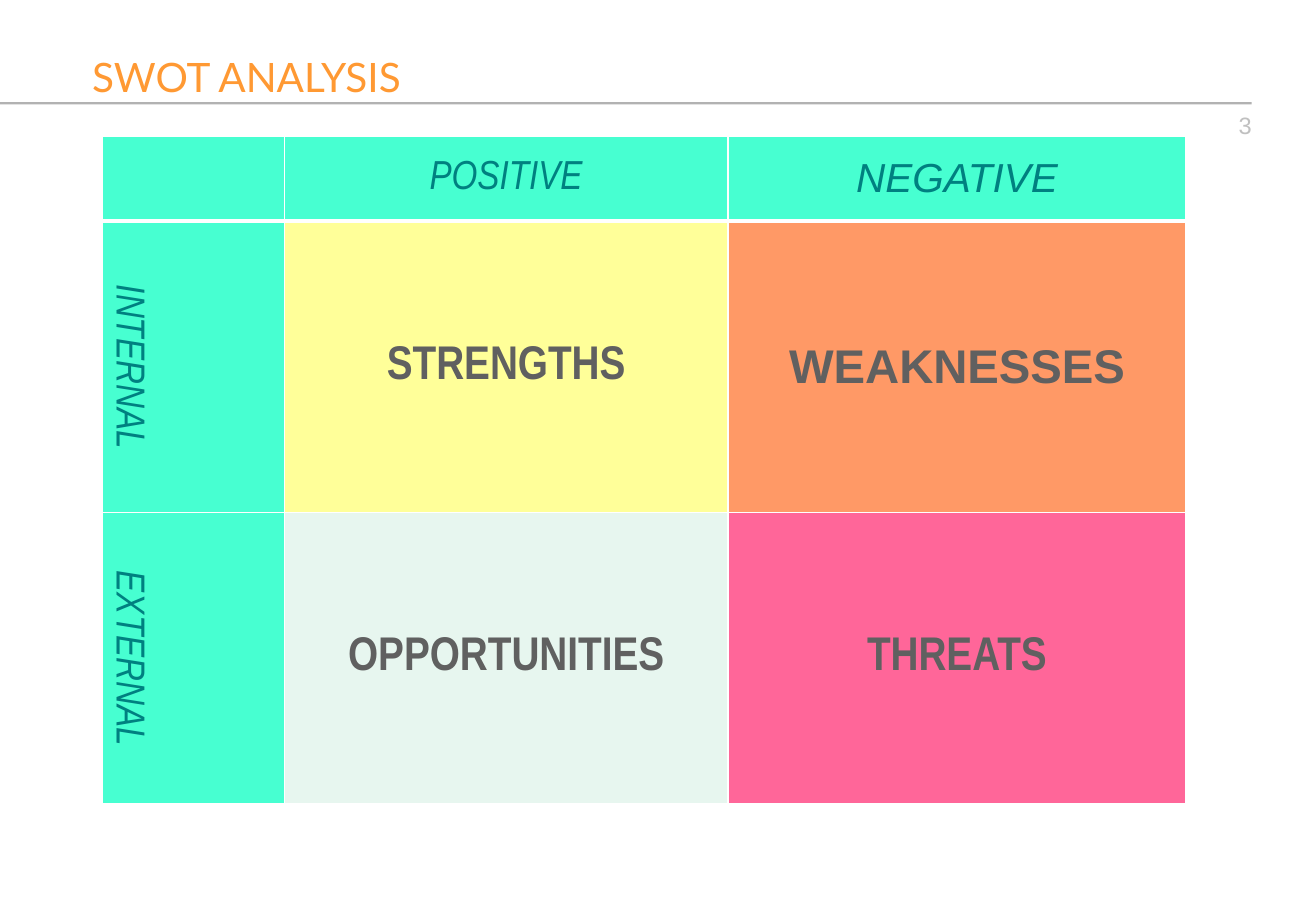
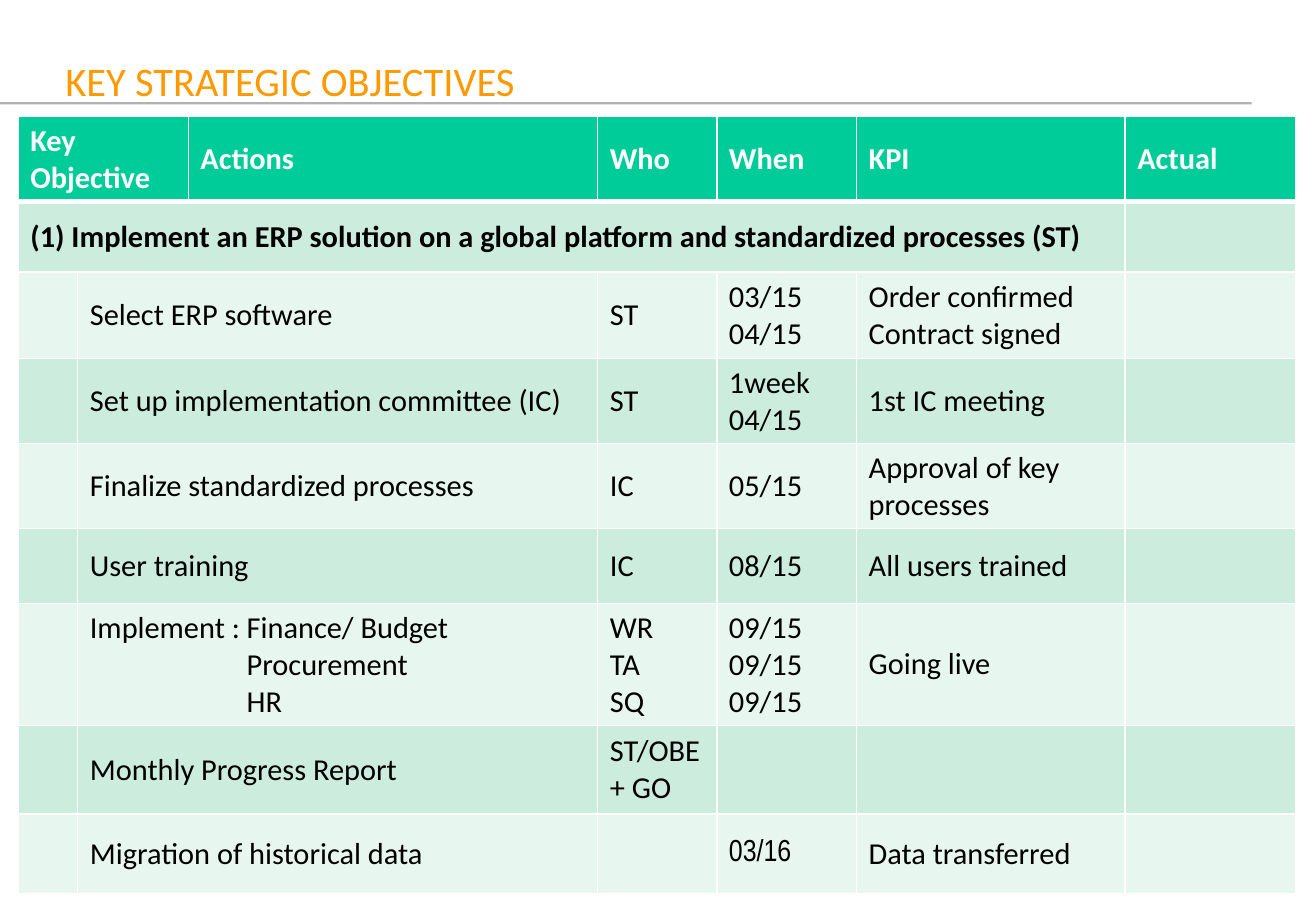
from lxml.etree import SubElement
from pptx import Presentation
from pptx.dml.color import RGBColor
from pptx.enum.shapes import MSO_SHAPE
from pptx.enum.text import MSO_ANCHOR, PP_ALIGN
from pptx.oxml.ns import qn
from pptx.util import Inches, Pt

# Colours
WHITE = RGBColor(0xFF, 0xFF, 0xFF)
BLACK = RGBColor(0x00, 0x00, 0x00)
RULE = RGBColor(0xB2, 0xB2, 0xB2)
SILVER = RGBColor(0xC0, 0xC0, 0xC0)
ORANGE = RGBColor(0xFF, 0x99, 0x33)
AMBER = RGBColor(0xFF, 0x99, 0x00)
AQUA = RGBColor(0x47, 0xFF, 0xD1)
TEAL = RGBColor(0x00, 0x80, 0x80)
GREY = RGBColor(0x60, 0x60, 0x60)
YELLOW = RGBColor(0xFF, 0xFF, 0x99)
CORAL = RGBColor(0xFF, 0x99, 0x66)
PINK = RGBColor(0xFF, 0x66, 0x99)
GREEN = RGBColor(0x00, 0xCC, 0x99)
MINT = RGBColor(0xCC, 0xEC, 0xDE)
PALE = RGBColor(0xE7, 0xF6, 0xEF)

# Fonts
SANS, NARROW, BODY, HEAD = "Arial", "Arial Narrow", "Calibri", "Lato"


def write(frame, lines, font, size, color, bold=False, italic=False,
          align=PP_ALIGN.LEFT):
    """Fill a text frame, one paragraph a line."""
    for i, line in enumerate(lines):
        para = frame.paragraphs[0] if i == 0 else frame.add_paragraph()
        para.alignment = align
        run = para.add_run()
        run.text = line
        run.font.name = font
        run.font.size = Pt(size)
        run.font.color.rgb = color
        run.font.bold = bold
        run.font.italic = italic


def add_text(slide, box, line, font, size, color, align=PP_ALIGN.LEFT,
             anchor=MSO_ANCHOR.TOP):
    frame = slide.shapes.add_textbox(*map(Inches, box)).text_frame
    frame.word_wrap = True
    frame.vertical_anchor = anchor
    write(frame, [line], font, size, color, align=align)


def add_page(deck):
    """Blank slide with the rule under the title."""
    slide = deck.slides.add_slide(deck.slide_layouts[6])
    rule = slide.shapes.add_shape(
        MSO_SHAPE.RECTANGLE, *map(Inches, (0, 0.84, 10.3, 0.02)))
    rule.shadow.inherit = False
    rule.fill.solid()
    rule.fill.fore_color.rgb = RULE
    rule.line.fill.background()
    return slide


def add_grid(slide, left, top, cols, rows):
    """Plain table with the given column widths and row heights."""
    table = slide.shapes.add_table(
        len(rows), len(cols), Inches(left), Inches(top),
        Inches(sum(cols)), Inches(sum(rows))).table
    table.first_row = table.horz_banding = False
    for col, width in zip(table.columns, cols):
        col.width = Inches(width)
    for row, height in zip(table.rows, rows):
        row.height = Inches(height)
    return table


def paint(table, r, c, color):
    """Give a cell its fill and white borders, thick under the header."""
    cell = table.cell(r, c)
    props = cell._tc.get_or_add_tcPr()
    for side in ("L", "R", "T", "B"):
        thick = (r, side) in ((0, "B"), (1, "T"))
        line = SubElement(props, qn("a:ln" + side), w=str(Pt(3 if thick else 1)))
        SubElement(SubElement(line, qn("a:solidFill")), qn("a:srgbClr"),
                   val=str(WHITE))
    cell.fill.solid()
    cell.fill.fore_color.rgb = color
    cell.vertical_anchor = MSO_ANCHOR.MIDDLE
    return cell


# SWOT slide: each cell is text, font, fill
SWOT = [
    [("", NARROW, AQUA), ("POSITIVE", NARROW, AQUA), ("NEGATIVE", SANS, AQUA)],
    [("INTERNAL", NARROW, AQUA), ("STRENGTHS", NARROW, YELLOW),
     ("WEAKNESSES", SANS, CORAL)],
    [("EXTERNAL", NARROW, AQUA), ("OPPORTUNITIES", NARROW, PALE),
     ("THREATS", NARROW, PINK)],
]


def add_swot(slide, left, top):
    table = add_grid(slide, left, top, (1.5, 3.65, 3.77), (0.7, 2.4, 2.4))
    for r, row in enumerate(SWOT):
        for c, (word, font, fill) in enumerate(row):
            cell = paint(table, r, c, fill)
            if not word:
                continue
            label = r == 0 or c == 0
            write(cell.text_frame, [word], font, 24 if label else 28,
                  TEAL if label else GREY, not label, label, PP_ALIGN.CENTER)
            if c == 0:
                cell._tc.get_or_add_tcPr().set("vert", "vert")
            if word == "WEAKNESSES":
                cell.text_frame.paragraphs[0].space_before = Pt(12)


# Goals slide: action, who, when, KPI
HEADS = ("Key Objective", None, "Actions", "Who", "When", "KPI", "Actual")
GOAL = ("(1) Implement an ERP solution on a global platform "
        "and standardized processes (ST)")
TASKS = [
    ("Select ERP software", "ST", "03/15\n04/15",
     "Order confirmed\nContract signed"),
    ("Set up implementation committee (IC)", "ST", "1week 04/15",
     "1st IC meeting"),
    ("Finalize standardized processes", "IC", "05/15",
     "Approval of key processes"),
    ("User training", "IC", "08/15", "All users trained"),
    ("Implement : Finance/ Budget\nProcurement\nHR", "WR\nTA\nSQ",
     "09/15\n09/15\n09/15", "Going live"),
    ("Monthly Progress Report", "ST/OBE + GO", "", ""),
    ("Migration of historical data", "", "03/16", "Data transferred"),
]


def add_goals(slide, left, top):
    table = add_grid(slide, left, top,
                     (0.49, 0.91, 3.37, 0.98, 1.15, 2.21, 1.4),
                     (0.7, 0.58, 0.71, 0.7, 0.7, 0.62, 1, 0.73, 0.66))
    rows = [HEADS, (GOAL,) + (None,) * 5 + ("",)]
    rows += [("", act, None, who, when, kpi, "")
             for act, who, when, kpi in TASKS]
    for r, row in enumerate(rows):
        fill = GREEN if r == 0 else (PALE, MINT)[r % 2]
        for c, words in enumerate(row):
            cell = paint(table, r, c, fill)
            # None joins a cell to the one on its left
            span = 1
            while c + span < len(row) and row[c + span] is None:
                span += 1
            if words is not None and span > 1:
                cell.merge(table.cell(r, c + span - 1))
            if words:
                write(cell.text_frame, words.split("\n"),
                      NARROW if words == "03/16" else BODY, 18,
                      WHITE if r == 0 else BLACK, r < 2)
            # Later lines of an action sit under its first item
            if c == 1 and words:
                for para in cell.text_frame.paragraphs[1:]:
                    para._p.get_or_add_pPr().set("marL", str(Inches(1.29)))


def main():
    deck = Presentation()
    deck.slide_width, deck.slide_height = Inches(10.83), Inches(7.5)

    slide = add_page(deck)
    add_text(slide, (8.07, 0.86, 2.33, 0.52), "3", SANS, 14, SILVER,
             PP_ALIGN.RIGHT)
    add_text(slide, (0.66, 0.28, 10.17, 0.69), "SWOT ANALYSIS", HEAD, 24,
             ORANGE, anchor=MSO_ANCHOR.MIDDLE)
    add_swot(slide, 0.84, 1.12)

    slide = add_page(deck)
    add_text(slide, (0.44, 0.41, 7.03, 0.51), "KEY STRATEGIC OBJECTIVES",
             BODY, 24, AMBER)
    add_goals(slide, 0.15, 0.96)

    deck.save("out.pptx")


if __name__ == "__main__":
    main()
